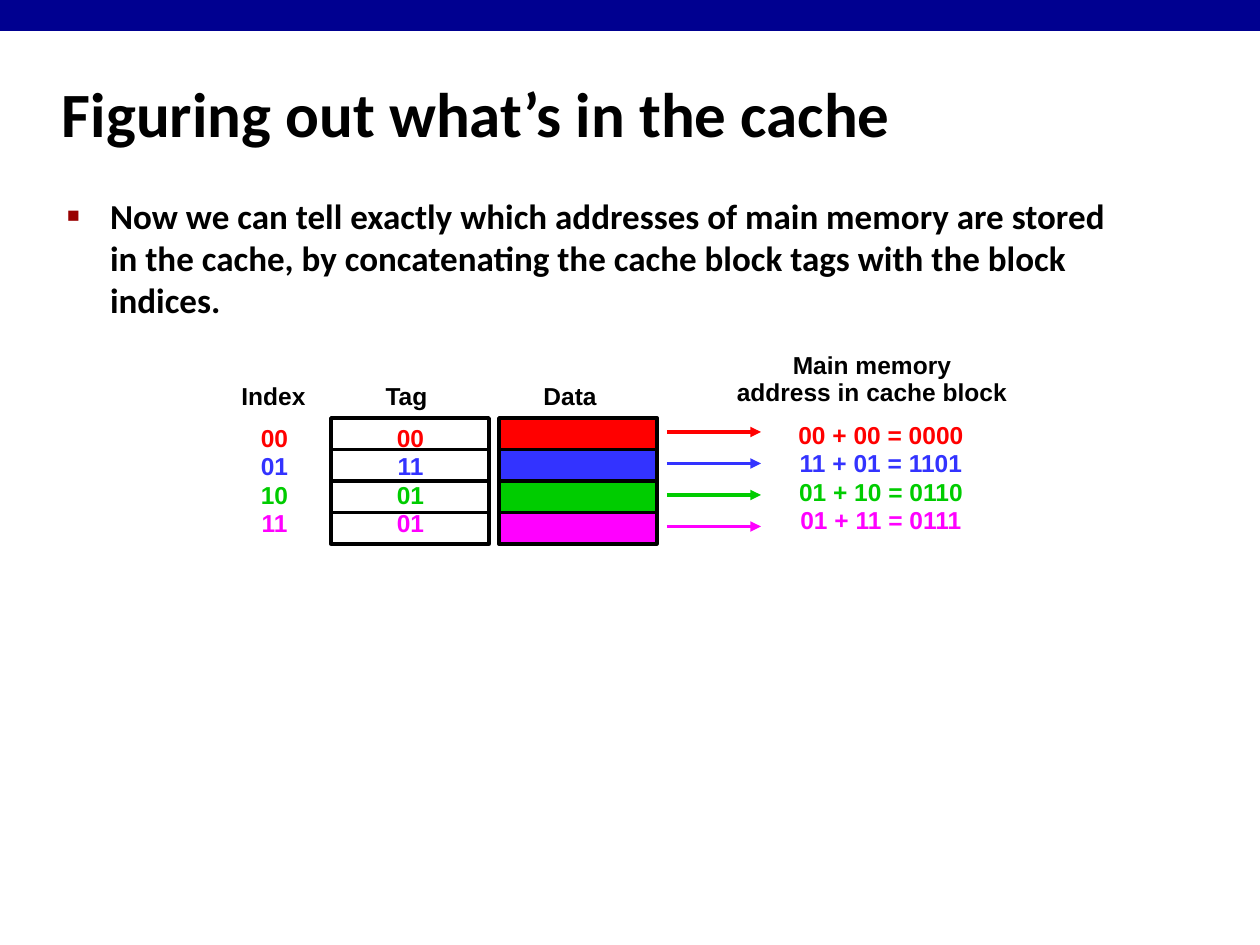
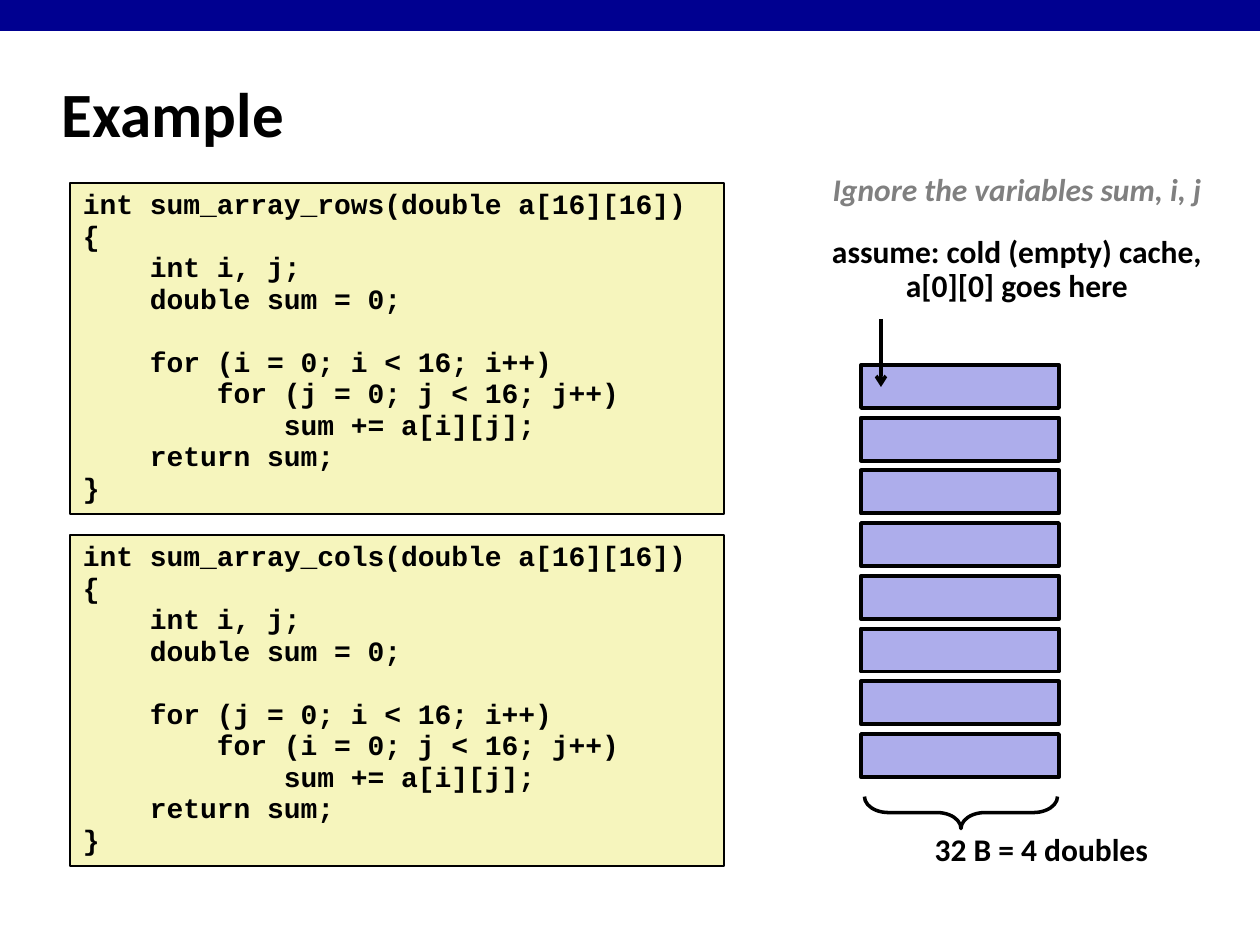
from collections import namedtuple
from dataclasses import dataclass

from lxml.etree import SubElement
from pptx import Presentation
from pptx.dml.color import RGBColor
from pptx.enum.shapes import MSO_CONNECTOR as Connector, MSO_SHAPE as Preset
from pptx.enum.text import MSO_ANCHOR as Anchor, PP_ALIGN as Align
from pptx.oxml.ns import qn
from pptx.util import Pt

Box = namedtuple("Box", "left top width height")
Style = namedtuple("Style", "font size color italic", defaults=(False,))


@dataclass(frozen=True)
class Theme:
    """Colours and type styles shared by the slides."""
    ink: str = "000000"
    band: str = "000090"
    bullet: str = "990000"
    code_fill: str = "F6F5BD"
    block_fill: str = "ADADEB"
    entries: tuple = ("FF0000", "3333FF", "00CC00", "FF00FF")
    title: Style = Style("Calibri", 36, "000000")
    body: Style = Style("Calibri", 20, "000000")
    note: Style = Style("Calibri", 18, "000000")
    aside: Style = Style("Calibri", 18, "808080", True)
    label: Style = Style("Arial", 14, "000000")
    code: Style = Style("Courier New", 16, "000000")


THEME = Theme()
PAGE = Box(0, 0, 1260, 945)
SCALE = 914400 / 126
LABEL_INSETS = (6, 8, 6, 8)
TEXT_INSETS = (13, 6, 13, 6)


def emu(pixels):
    """Turn pixels into EMU."""
    return round(pixels * SCALE)


def within(box, left, top, width, height):
    """Place a box relative to the corner of another."""
    return Box(box.left + left, box.top + top, width, height)


def add_preset(shapes, preset, box, fill=None, line=None, weight=2):
    """Add a flat preset shape."""
    shape = shapes.add_shape(preset, *map(emu, box))
    shape.shadow.inherit = False
    if fill:
        shape.fill.solid()
        shape.fill.fore_color.rgb = RGBColor.from_string(fill)
    else:
        shape.fill.background()
    if line:
        shape.line.color.rgb = RGBColor.from_string(line)
        shape.line.width = Pt(weight)
    else:
        shape.line.fill.background()
    return shape


def add_arrow(shapes, start, end, color, head):
    """Add a straight line with an arrowhead at its end."""
    arrow = shapes.add_connector(Connector.STRAIGHT, *map(emu, start + end))
    arrow.line.color.rgb = RGBColor.from_string(color)
    arrow.line.width = Pt(2)
    properties = arrow.element.spPr
    SubElement(properties.find(qn("a:ln")), qn("a:tailEnd"), type=head)
    SubElement(properties, qn("a:effectLst"))


def prepare_frame(frame, insets, anchor, wrap):
    """Set the insets, anchor and wrapping of a text frame."""
    (frame.margin_left, frame.margin_top,
     frame.margin_right, frame.margin_bottom) = map(emu, insets)
    frame.vertical_anchor = anchor
    frame.word_wrap = wrap


def write_line(frame, number, text, style, align=Align.LEFT, spacing=1.0, before=0):
    """Write one paragraph and return it."""
    paragraph = frame.add_paragraph() if number else frame.paragraphs[0]
    paragraph.alignment = align
    paragraph.line_spacing = spacing
    paragraph.space_before = Pt(before)
    run = paragraph.add_run()
    run.text = text
    run.font.name = style.font
    run.font.size = Pt(style.size)
    run.font.bold = True
    run.font.italic = style.italic
    run.font.color.rgb = RGBColor.from_string(style.color)
    return paragraph


def indent(paragraph, margin, first=0):
    """Set the left margin and first-line indent, and return the properties."""
    properties = paragraph._p.get_or_add_pPr()
    properties.set("marL", str(emu(margin)))
    properties.set("indent", str(emu(first)))
    return properties


def add_label(shapes, box, lines, style, colors=None, before=0,
              insets=LABEL_INSETS, anchor=Anchor.MIDDLE):
    """Add centred lines, each in its own colour if colours are given."""
    frame = shapes.add_textbox(*map(emu, box)).text_frame
    prepare_frame(frame, insets, anchor, False)
    for number, text in enumerate(lines):
        line_style = style._replace(color=colors[number]) if colors else style
        write_line(frame, number, text, line_style, Align.CENTER, 0.9,
                   before if number else 0)


def add_note(shapes, box, lines, style):
    """Add a centred note anchored at the top."""
    add_label(shapes, box, lines, style, insets=TEXT_INSETS, anchor=Anchor.TOP)


def start_slide(deck, title):
    """Add a slide with the top band and its title."""
    shapes = deck.slides.add_slide(deck.slide_layouts[6]).shapes
    add_preset(shapes, Preset.RECTANGLE, PAGE._replace(height=31), THEME.band)
    frame = shapes.add_textbox(*map(emu, Box(49, 60, 1046, 105))).text_frame
    prepare_frame(frame, TEXT_INSETS, Anchor.MIDDLE, True)
    indent(write_line(frame, 0, title, THEME.title), 16, -16)
    return shapes


def add_bullet(shapes, box, text):
    """Add body text with a square bullet."""
    frame = shapes.add_textbox(*map(emu, box)).text_frame
    prepare_frame(frame, TEXT_INSETS, Anchor.TOP, True)
    properties = indent(write_line(frame, 0, text, THEME.body), 43, -43)
    color = SubElement(properties, qn("a:buClr"))
    SubElement(color, qn("a:srgbClr"), val=THEME.bullet)
    SubElement(properties, qn("a:buSzPct"), val="60000")
    SubElement(properties, qn("a:buFont"), typeface="Arial")
    SubElement(properties, qn("a:buChar"), char="■")


def add_cache_map(shapes, box, entries):
    """Draw the cache entries with the addresses they stand for."""
    group = shapes.add_group_shape().shapes
    cells = within(box, 104, 72, 158, 126)
    data_left = cells.left + 168
    row = cells.height / len(entries)
    for number, color in enumerate(THEME.entries):
        top = cells.top + number * row
        for left, fill in ((cells.left, None), (data_left, color)):
            add_preset(group, Preset.RECTANGLE, Box(left, top, cells.width, row),
                       fill, THEME.ink)
        add_arrow(group, (box.left + 440, top + 14), (box.left + 534, top + 14),
                  color, "triangle")
    for spot, heading in (((0, 32, 93, 40), ["Index"]),
                          ((144, 32, 71, 40), ["Tag"]),
                          ((302, 32, 82, 40), ["Data"]),
                          ((495, 0, 300, 68), ["Main memory", "address in cache block"])):
        add_label(group, within(box, *spot), heading, THEME.label)
    indices, tags = zip(*entries)
    addresses = [f"{tag} + {index} = {tag}{index}" for index, tag in entries]
    for spot, column in (((20, 72, 55, 128), indices),
                         ((156, 72, 55, 128), tags),
                         ((557, 69, 194, 128), addresses)):
        add_label(group, within(box, *spot), column, THEME.label, THEME.entries, 1.1)


def add_code(shapes, box, name, outer, inner):
    """Draw a listing that sums an array with two nested loops."""
    listing = ((0, f"int {name}(double a[16][16])"), (0, "{"),
               (1, "int i, j;"), (1, "double sum = 0;"),
               (1, f"for ({outer} = 0; i < 16; i++)"),
               (2, f"for ({inner} = 0; j < 16; j++)"),
               (3, "sum += a[i][j];"), (1, "return sum;"), (0, "}"))
    panel = add_preset(shapes, Preset.RECTANGLE, box, THEME.code_fill, THEME.ink, 1)
    prepare_frame(panel.text_frame, TEXT_INSETS, Anchor.TOP, True)
    for number, (level, text) in enumerate(listing):
        gap = 18 if text.startswith(f"for ({outer}") else 0
        line = write_line(panel.text_frame, number, text, THEME.code,
                          spacing=Pt(18), before=gap)
        indent(line, level * 67)


def add_cache_blocks(shapes, box, count):
    """Draw the empty cache blocks, their size and where the array starts."""
    height = 43
    pitch = (box.height - height) / (count - 1)
    for number in range(count):
        add_preset(shapes, Preset.RECTANGLE,
                   within(box, 0, number * pitch, box.width, height),
                   THEME.block_fill, THEME.ink, 2.25)
    brace = add_preset(shapes, Preset.LEFT_BRACE, within(box, 84, 351, 32, 193),
                       line=THEME.ink)
    brace.rotation = 270
    brace.adjustments[0] = 0.75
    add_note(shapes, within(box, 60, 463, 241, 50), ["32 B = 4 doubles"], THEME.note)
    add_note(shapes, within(box, -43, -135, 398, 90),
             ["assume: cold (empty) cache,", "a[0][0] goes here"], THEME.note)
    add_note(shapes, within(box, -43, -197, 398, 50),
             ["Ignore the variables sum, i, j"], THEME.aside)
    arrow_left = box.left + 20
    add_arrow(shapes, (arrow_left, box.top - 46), (arrow_left, box.top + 22),
              THEME.ink, "arrow")


def build_contents_slide(deck):
    """Build the slide that reads addresses out of the cache."""
    shapes = start_slide(deck, "Figuring out what’s in the cache")
    add_bullet(shapes, Box(54, 188, 1089, 685),
               "Now we can tell exactly which addresses of main memory are stored "
               "in the cache, by concatenating the cache block tags with the block "
               "indices.")
    add_cache_map(shapes, Box(227, 346, 796, 200),
                  (("00", "00"), ("01", "11"), ("10", "01"), ("11", "01")))


def build_example_slide(deck):
    """Build the slide that compares two loop orders."""
    shapes = start_slide(deck, "Example")
    rows = Box(70, 183, 654, 331)
    add_code(shapes, rows, "sum_array_rows", "i", "j")
    add_code(shapes, within(rows, 0, 352, rows.width, rows.height),
             "sum_array_cols", "j", "i")
    add_cache_blocks(shapes, Box(861, 365, 198, 412), 8)


def main():
    """Build and save the presentation."""
    deck = Presentation()
    deck.slide_width, deck.slide_height = emu(PAGE.width), emu(PAGE.height)
    build_contents_slide(deck)
    build_example_slide(deck)
    deck.save("out.pptx")


main()
